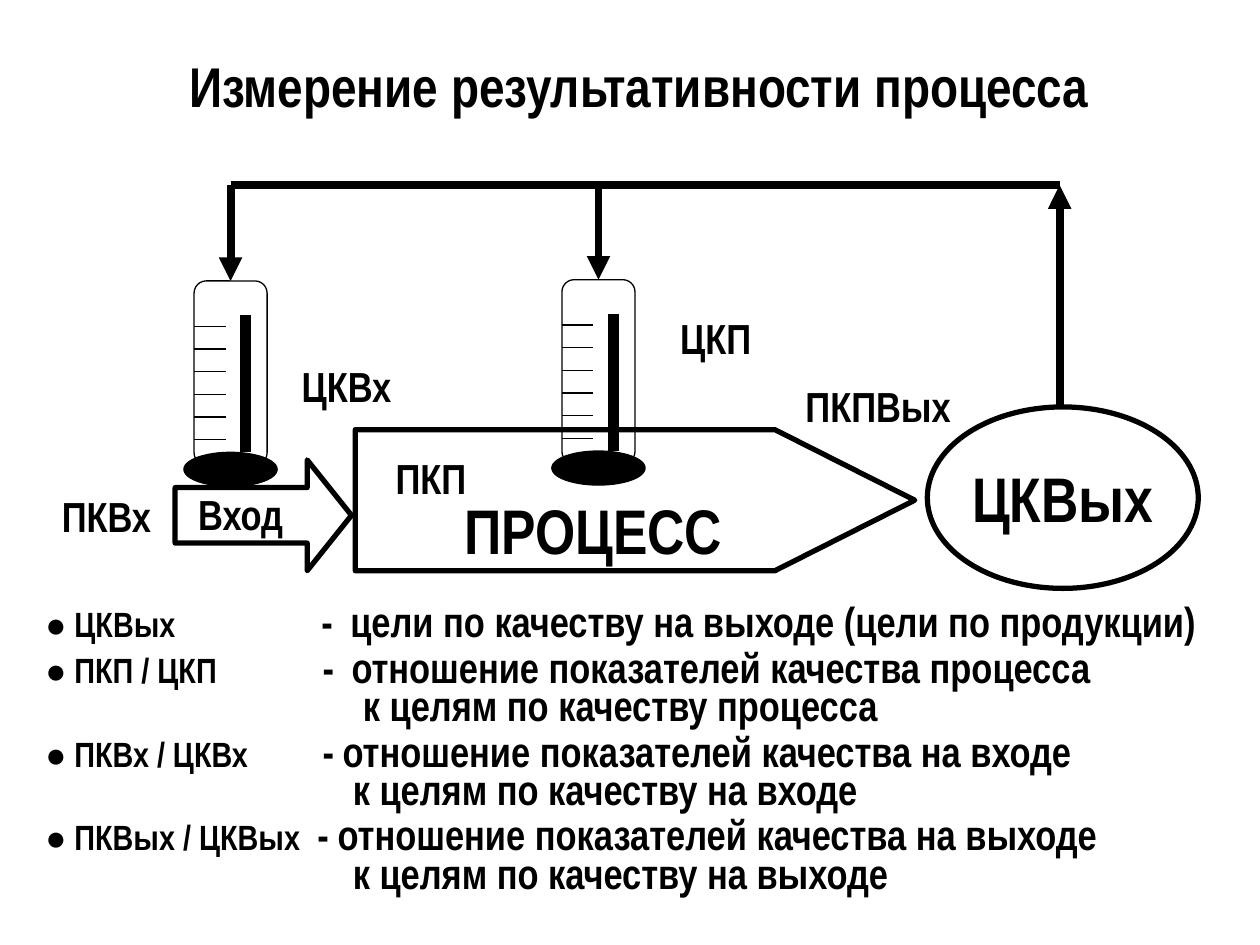
from lxml import etree
from pptx import Presentation
from pptx.dml.color import RGBColor
from pptx.enum.shapes import MSO_CONNECTOR, MSO_SHAPE
from pptx.enum.text import MSO_ANCHOR, PP_ALIGN
from pptx.oxml.ns import qn
from pptx.util import Inches, Pt

BLACK = RGBColor(0, 0, 0)
FONT = "Arial Narrow"
STRAIGHT = MSO_CONNECTOR.STRAIGHT
ELLIPSE = MSO_SHAPE.OVAL
ARROW = MSO_SHAPE.RIGHT_ARROW
TUBE = MSO_SHAPE.FLOWCHART_ALTERNATE_PROCESS
TOP, MIDDLE = MSO_ANCHOR.TOP, MSO_ANCHOR.MIDDLE
LEFT, CENTER = PP_ALIGN.LEFT, PP_ALIGN.CENTER

TITLE = "Измерение результативности процесса"
LABELS = [
    ("ПКП", 2.9, 3.54, 1.04, 0.38, 24, TOP),
    ("ПРОЦЕСС", 3.31, 3.98, 2.8, 0.44, 36, MIDDLE),
    ("ПКВх", 0.35, 3.85, 0.99, 0.49, 24, MIDDLE),
    ("Вход", 1.46, 3.89, 0.9, 0.38, 24, MIDDLE),
    ("ЦКП", 5.16, 2.44, 1.04, 0.48, 24, MIDDLE),
    ("ЦКВх", 2.23, 2.81, 1.04, 0.5, 24, MIDDLE),
    ("ПКПВых", 6.34, 2.98, 1.26, 0.48, 24, MIDDLE),
]
# label, dash position, text position, text, continuation position, continuation
LEGEND = [
    ("ЦКВых", 2.19, 2.42, "цели по качеству на выходе (цели по продукции)", 0, ""),
    ("ПКП / ЦКП", 2.2, 2.43, "отношение показателей качества процесса",
     2.52, "к целям по качеству процесса"),
    ("ПКВх / ЦКВх", 2.2, 2.36, "отношение показателей качества на входе",
     2.44, "к целям по качеству на входе"),
    ("ПКВых / ЦКВых", 2.16, 2.32, "отношение показателей качества на выходе",
     2.44, "к целям по качеству на выходе"),
]
PROCESS = [(2.82, 3.41), (6.15, 3.41), (7.26, 3.97), (6.15, 4.53), (2.82, 4.53)]
THERMOMETERS = [(1.54, 2.23), (4.46, 2.22)]
TUBE_W, TUBE_H = 0.58, 1.46
TICKS, TICK_GAP = 6, 0.18
FEEDBACK_Y, FEEDBACK_X = 1.47, 8.41


def style_run(r, size):
    r.font.name = FONT
    r.font.size = Pt(size)
    r.font.bold = True
    r.font.color.rgb = BLACK


def set_text(sp, text, size, anchor):
    tf = sp.text_frame
    tf.word_wrap = True
    tf.margin_left = tf.margin_right = 0
    tf.vertical_anchor = anchor
    tf.text = text
    p = tf.paragraphs[0]
    p.alignment = CENTER
    style_run(p.runs[0], size)


def add_label(text, x, y, w, h, size, anchor):
    sp = s.shapes.add_textbox(Inches(x), Inches(y), Inches(w), Inches(h))
    set_text(sp, text, size, anchor)


def outline(sp, width, filled=False):
    sp.shadow.inherit = False
    if filled:
        sp.fill.solid()
        sp.fill.fore_color.rgb = BLACK
    else:
        sp.fill.background()
    sp.line.color.rgb = BLACK
    sp.line.width = Pt(width)
    return sp


def add_outline(kind, x, y, w, h, width, filled=False):
    sp = s.shapes.add_shape(kind, Inches(x), Inches(y), Inches(w), Inches(h))
    return outline(sp, width, filled)


def add_line(x1, y1, x2, y2, width, arrow=False):
    line = s.shapes.add_connector(STRAIGHT, Inches(x1), Inches(y1), Inches(x2), Inches(y2))
    line.line.color.rgb = BLACK
    line.line.width = Pt(width)
    if arrow:
        etree.SubElement(line.line._get_or_add_ln(), qn("a:tailEnd"), type="triangle")
    etree.SubElement(line._element.spPr, qn("a:effectLst"))
    return line


def add_thermometer(x, y):
    tube = add_outline(TUBE, x, y, TUBE_W, TUBE_H, 0.75)
    add_outline(ELLIPSE, x - 0.08, y + 1.36, 0.74, 0.27, 0.75, True)
    for i in range(TICKS):
        tick_y = y + 0.36 + i * TICK_GAP
        add_line(x, tick_y, x + 0.25, tick_y, 0.75)
    add_line(x + 0.41, y + 1.36, x + 0.41, y + 0.27, 6)
    center = x + TUBE_W / 2
    add_line(center, FEEDBACK_Y, center, y, 4.5, True).end_connect(tube, 0)


def add_legend_line(tf, first, before, parts, indent=0, tabs=()):
    p = tf.paragraphs[0] if first else tf.add_paragraph()
    pPr = p._p.get_or_add_pPr()
    if indent:
        pPr.set("marL", str(Inches(indent)))
    p.alignment = LEFT
    p.line_spacing = Pt(16)
    p.space_before = Pt(0 if first else before)
    if tabs:
        tab_list = etree.SubElement(pPr, qn("a:tabLst"))
        for pos in tabs:
            etree.SubElement(tab_list, qn("a:tab"), pos=str(Inches(pos)), algn="l")
    for text, size in parts:
        r = p.add_run()
        r.text = text
        style_run(r, size)


prs = Presentation()
prs.slide_width, prs.slide_height = Inches(10), Inches(7.5)
s = prs.slides.add_slide(prs.slide_layouts[6])

add_label(TITLE, 0.35, 0.36, 9.45, 0.8, 32, TOP)

body = s.shapes.add_textbox(Inches(0.2), Inches(4.74), Inches(9.61), Inches(2.55))
tf = body.text_frame
tf.word_wrap = True
tf.margin_left = Inches(0.16)
tf.vertical_anchor = MIDDLE
for i, (name, dash_x, text_x, text, next_x, next_text) in enumerate(LEGEND):
    parts = [("● " + name, 20), ("\t-\t" + text, 24)]
    add_legend_line(tf, i == 0, 10, parts, tabs=(dash_x, text_x))
    if next_text:
        add_legend_line(tf, False, 6, [(next_text, 24)], next_x)

points = [(Inches(x), Inches(y)) for x, y in PROCESS]
builder = s.shapes.build_freeform(*points[0])
builder.add_line_segments(points[1:], close=True)
outline(builder.convert_to_shape(), 3)

goal = add_outline(ELLIPSE, 7.36, 3.23, 2.15, 1.44, 3)
set_text(goal, "ЦКВых", 36, MIDDLE)

entry = add_outline(ARROW, 1.39, 3.65, 1.4, 0.88, 3)
entry.adjustments[0], entry.adjustments[1] = 0.5, 0.4

add_line(FEEDBACK_X, 3.23, FEEDBACK_X, FEEDBACK_Y, 4.5, True)
add_line(FEEDBACK_X, FEEDBACK_Y, THERMOMETERS[0][0] + TUBE_W / 2, FEEDBACK_Y, 4.5)
for x, y in THERMOMETERS:
    add_thermometer(x, y)
for label in LABELS:
    add_label(*label)

prs.save("out.pptx")
